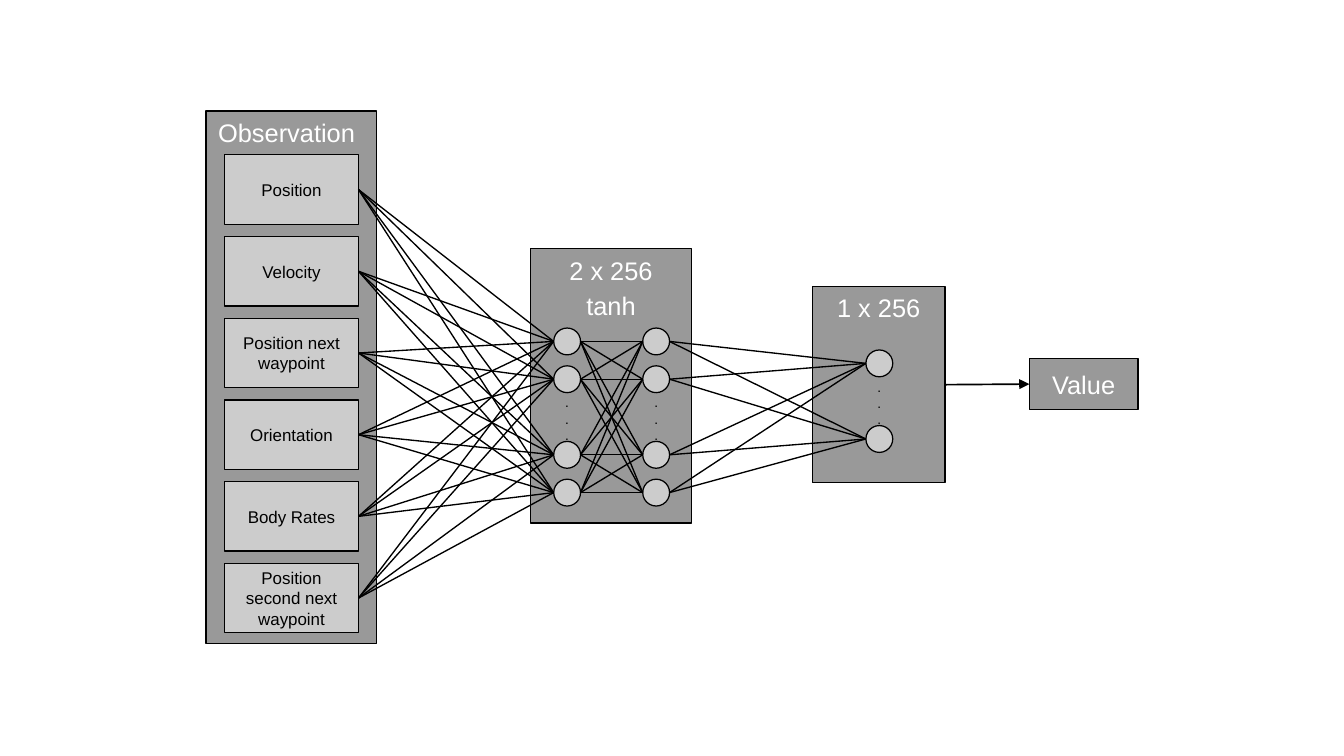
from itertools import product

from lxml.etree import SubElement
from pptx import Presentation
from pptx.dml.color import RGBColor
from pptx.enum.shapes import MSO_CONNECTOR, MSO_SHAPE
from pptx.enum.text import MSO_ANCHOR, PP_ALIGN
from pptx.oxml.ns import qn
from pptx.util import Inches, Pt

BLACK = RGBColor(0x00, 0x00, 0x00)
WHITE = RGBColor(0xFF, 0xFF, 0xFF)
DARK_GREY = RGBColor(0x99, 0x99, 0x99)
LIGHT_GREY = RGBColor(0xCC, 0xCC, 0xCC)

INPUTS = ["Position", "Velocity", "Position next waypoint", "Orientation",
          "Body Rates", "Position second next waypoint"]
INPUT_PITCH = 0.67
NEURON_SIZE = 0.22
NEURON_PITCH = 0.31
DOTS_HEIGHT = 0.47
LEFT_SIDE, RIGHT_SIDE = 1, 3


class NetworkDiagram:
    """Draws the panels, neurons and links of a network on one page."""

    font = "Arial"
    line_width = Pt(0.79)

    def __init__(self, page):
        self.shapes = page.shapes

    def set_text(self, frame, text, size, color, align=PP_ALIGN.CENTER, space=2.9):
        frame.word_wrap = True
        frame.text = text
        for para in frame.paragraphs:
            para.alignment = align
            para.space_before = Pt(space)
            for span in para.runs:
                span.font.name = self.font
                span.font.size = Pt(size)
                span.font.color.rgb = color

    def shape(self, kind, left, top, width, height, fill, line_width):
        shape = self.shapes.add_shape(
            kind, Inches(left), Inches(top), Inches(width), Inches(height))
        shape.shadow.inherit = False
        shape.fill.solid()
        shape.fill.fore_color.rgb = fill
        shape.line.color.rgb = BLACK
        shape.line.width = line_width
        return shape

    def box(self, left, top, width, height, text, size=15, color=WHITE,
            fill=DARK_GREY, anchor=MSO_ANCHOR.TOP, **paragraph_style):
        box = self.shape(MSO_SHAPE.RECTANGLE, left, top, width, height,
                         fill, self.line_width)
        box.text_frame.vertical_anchor = anchor
        self.set_text(box.text_frame, text, size, color, **paragraph_style)
        return box

    def dots(self, left, top):
        box = self.shapes.add_textbox(
            Inches(left), Inches(top), Inches(NEURON_SIZE), Inches(DOTS_HEIGHT))
        box.text_frame.margin_left = box.text_frame.margin_right = 0
        self.set_text(box.text_frame, ".\n.\n.", 8, BLACK, space=0)

    def layer(self, left, top, steps):
        neurons = [self.shape(MSO_SHAPE.OVAL, left, top + step * NEURON_PITCH,
                              NEURON_SIZE, NEURON_SIZE, LIGHT_GREY, Pt(0))
                   for step in steps]
        middle = top + (steps[-1] * NEURON_PITCH + NEURON_SIZE) / 2
        self.dots(left, middle - DOTS_HEIGHT / 2)
        return neurons

    def link(self, source, target):
        line = self.shapes.add_connector(
            MSO_CONNECTOR.STRAIGHT,
            source.left + source.width, source.top + source.height // 2,
            target.left, target.top + target.height // 2)
        if source.auto_shape_type == MSO_SHAPE.RECTANGLE:
            line.begin_connect(source, RIGHT_SIDE)
        if target.auto_shape_type == MSO_SHAPE.RECTANGLE:
            line.end_connect(target, LEFT_SIDE)
        line.line.color.rgb = BLACK
        line.line.width = self.line_width
        SubElement(line._element.spPr, qn("a:effectLst"))
        return line

    def link_all(self, sources, targets):
        for source, target in product(sources, targets):
            self.link(source, target)

    def arrow(self, source, target):
        line = self.link(source, target)
        line.line.width = Pt(1)
        outline = line._element.spPr.find(qn("a:ln"))
        SubElement(outline, qn("a:tailEnd"), type="triangle")


def main():
    deck = Presentation()
    deck.slide_width = Inches(11.02)
    deck.slide_height = Inches(6.2)
    diagram = NetworkDiagram(deck.slides.add_slide(deck.slide_layouts[6]))

    output_panel = diagram.box(6.66, 2.35, 1.09, 1.61, "1 x 256")
    output_layer = diagram.layer(7.1, 2.87, (0, 2))

    diagram.box(1.69, 0.91, 1.4, 4.37, "Observation",
                align=PP_ALIGN.LEFT, space=0)
    inputs = [diagram.box(1.84, 1.27 + row * INPUT_PITCH, 1.1, 0.57, name,
                          size=10, color=BLACK, fill=LIGHT_GREY,
                          anchor=MSO_ANCHOR.MIDDLE)
              for row, name in enumerate(INPUTS)]

    value = diagram.box(8.44, 2.94, 0.89, 0.42, "Value",
                        anchor=MSO_ANCHOR.MIDDLE)

    diagram.box(4.35, 2.04, 1.32, 2.25, "2 x 256\ntanh")
    first_layer, second_layer = [diagram.layer(left, 2.69, (0, 1, 3, 4))
                                 for left in (4.54, 5.27)]

    diagram.link_all(first_layer, second_layer)
    diagram.link_all(inputs, first_layer)
    diagram.link_all(second_layer, output_layer)
    diagram.arrow(output_panel, value)

    deck.save("out.pptx")


if __name__ == "__main__":
    main()
